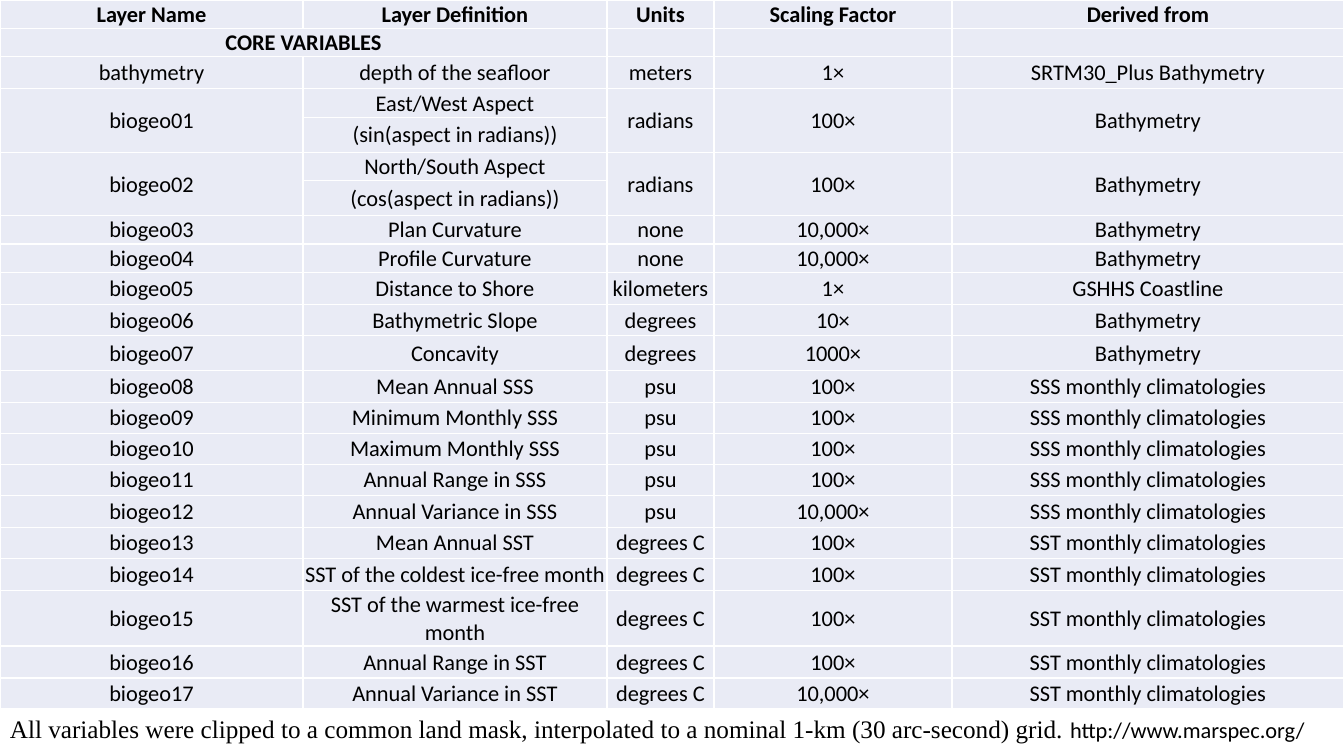
"""Build the slide that lists the layers of a marine data set."""
import dataclasses

import lxml.etree
import pptx
import pptx.dml.color
import pptx.enum.text
import pptx.oxml.ns
import pptx.util

SCALE = 12192000 / 1344
WIDTHS = [303, 304, 107, 238, 392]
FILL, LINE, INK = "E9EBF5", "FFFFFF", "000000"


@dataclasses.dataclass
class Layer:
    name: str
    meaning: str
    units: str = ""
    factor: str = ""
    source: str = ""
    height: int = 31


BATHY = "Bathymetry"
SALT = "SSS monthly climatologies"
HEAT = "SST monthly climatologies"
LAYERS = [
    Layer("Layer Name", "Layer Definition", "Units", "Scaling Factor", "Derived from", 18),
    Layer("CORE VARIABLES", "", height=18),
    Layer("bathymetry", "depth of the seafloor", "meters", "1×", "SRTM30_Plus Bathymetry", 32),
    Layer("biogeo01", "East/West Aspect", "radians", "100×", BATHY, 17),
    Layer("", "(sin(aspect in radians))", height=35),
    Layer("biogeo02", "North/South Aspect", "radians", "100×", BATHY, 17),
    Layer("", "(cos(aspect in radians))", height=35),
    Layer("biogeo03", "Plan Curvature", "none", "10,000×", BATHY, 18),
    Layer("biogeo04", "Profile Curvature", "none", "10,000×", BATHY, 18),
    Layer("biogeo05", "Distance to Shore", "kilometers", "1×", "GSHHS Coastline", 32),
    Layer("biogeo06", "Bathymetric Slope", "degrees", "10×", BATHY),
    Layer("biogeo07", "Concavity", "degrees", "1000×", BATHY, 35),
    Layer("biogeo08", "Mean Annual SSS", "psu", "100×", SALT, 32),
    Layer("biogeo09", "Minimum Monthly SSS", "psu", "100×", SALT),
    Layer("biogeo10", "Maximum Monthly SSS", "psu", "100×", SALT),
    Layer("biogeo11", "Annual Range in SSS", "psu", "100×", SALT),
    Layer("biogeo12", "Annual Variance in SSS", "psu", "10,000×", SALT, 32),
    Layer("biogeo13", "Mean Annual SST", "degrees C", "100×", HEAT),
    Layer("biogeo14", "SST of the coldest ice-free month", "degrees C", "100×", HEAT, 32),
    Layer("biogeo15", "SST of the warmest ice-free month", "degrees C", "100×", HEAT),
    Layer("biogeo16", "Annual Range in SST", "degrees C", "100×", HEAT, 32),
    Layer("biogeo17", "Annual Variance in SST", "degrees C", "10,000×", HEAT),
]


def px(count: int) -> pptx.util.Emu:
    return pptx.util.Emu(round(count * SCALE))


def shade(code: str) -> pptx.dml.color.RGBColor:
    return pptx.dml.color.RGBColor.from_string(code)


def write(para, text: str, *, size: int = 16, face: str = "Calibri",
          bold: bool = False, ink: str = INK) -> None:
    if not text:
        end = lxml.etree.SubElement(para._p, pptx.oxml.ns.qn("a:endParaRPr"))
        end.set("sz", str(size * 100))
        return
    run = para.add_run()
    run.text = text
    run.font.size = pptx.util.Pt(size)
    run.font.name = face
    run.font.bold = bold
    run.font.color.rgb = shade(ink)


def edge(cell) -> None:
    props = cell._tc.get_or_add_tcPr()
    for place, side in enumerate(("lnL", "lnR", "lnT", "lnB")):
        line = lxml.etree.Element(pptx.oxml.ns.qn(f"a:{side}"), w="12700")
        solid = lxml.etree.SubElement(line, pptx.oxml.ns.qn("a:solidFill"))
        lxml.etree.SubElement(solid, pptx.oxml.ns.qn("a:srgbClr"), val=LINE)
        props.insert(place, line)


def dress(cell, text: str, bold: bool) -> None:
    cell.fill.solid()
    cell.fill.fore_color.rgb = shade(FILL)
    cell.margin_left = cell.margin_right = cell.margin_top = px(1)
    cell.margin_bottom = 0
    cell.vertical_anchor = pptx.enum.text.MSO_ANCHOR.MIDDLE
    para = cell.text_frame.paragraphs[0]
    para.alignment = pptx.enum.text.PP_ALIGN.CENTER
    write(para, text, bold=bold)
    edge(cell)


def draw_grid(slide) -> None:
    frame = slide.shapes.add_table(len(LAYERS), len(WIDTHS), 0, 0, px(1344), px(700))
    table = frame.table
    table.first_row = table.horz_banding = False
    for col, width in zip(table.columns, WIDTHS):
        col.width = px(width)
    for r, layer in enumerate(LAYERS):
        table.rows[r].height = px(layer.height)
        texts = dataclasses.astuple(layer)[:len(WIDTHS)]
        for c, text in enumerate(texts):
            dress(table.cell(r, c), text, bold=r < 2)
            if not layer.name and c != 1:
                table.cell(r - 1, c).merge(table.cell(r, c))
        if not layer.meaning:
            table.cell(r, 0).merge(table.cell(r, 1))
    frame.height = px(700)


def draw_note(slide) -> None:
    box = slide.shapes.add_textbox(0, px(708), px(1344), px(40))
    frame = box.text_frame
    frame.word_wrap = True
    frame.auto_size = pptx.enum.text.MSO_AUTO_SIZE.SHAPE_TO_FIT_TEXT
    para = frame.paragraphs[0]
    write(para, "All variables were clipped to a common land mask, interpolated "
          "to a nominal 1-km (30 arc-second) grid. ", size=18, face="Times New Roman")
    write(para, "http://www.marspec.org/")


def main() -> None:
    deck = pptx.Presentation()
    deck.slide_width, deck.slide_height = px(1344), px(756)
    slide = deck.slides.add_slide(deck.slide_layouts[6])
    draw_grid(slide)
    draw_note(slide)
    deck.save("out.pptx")


if __name__ == "__main__":
    main()
